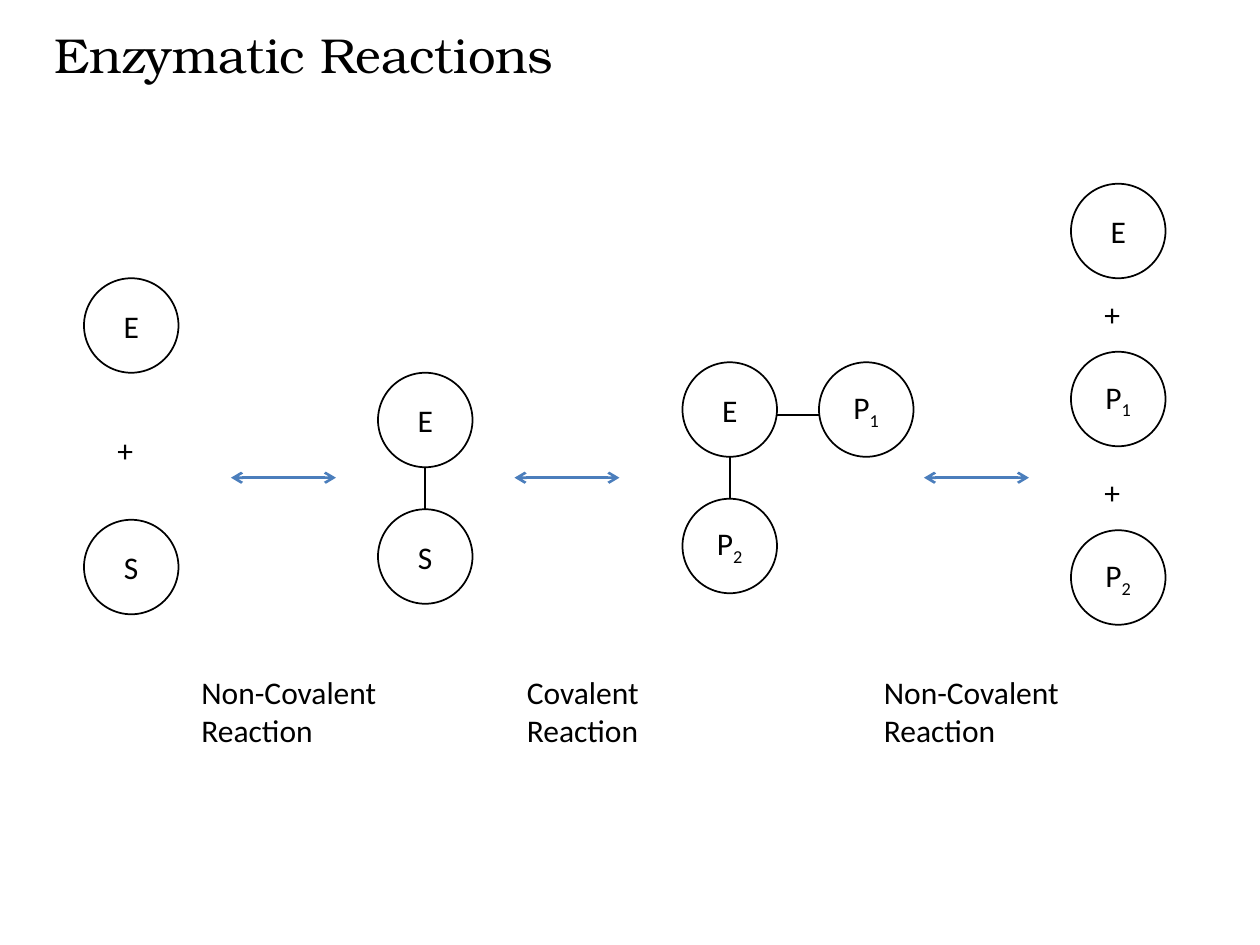
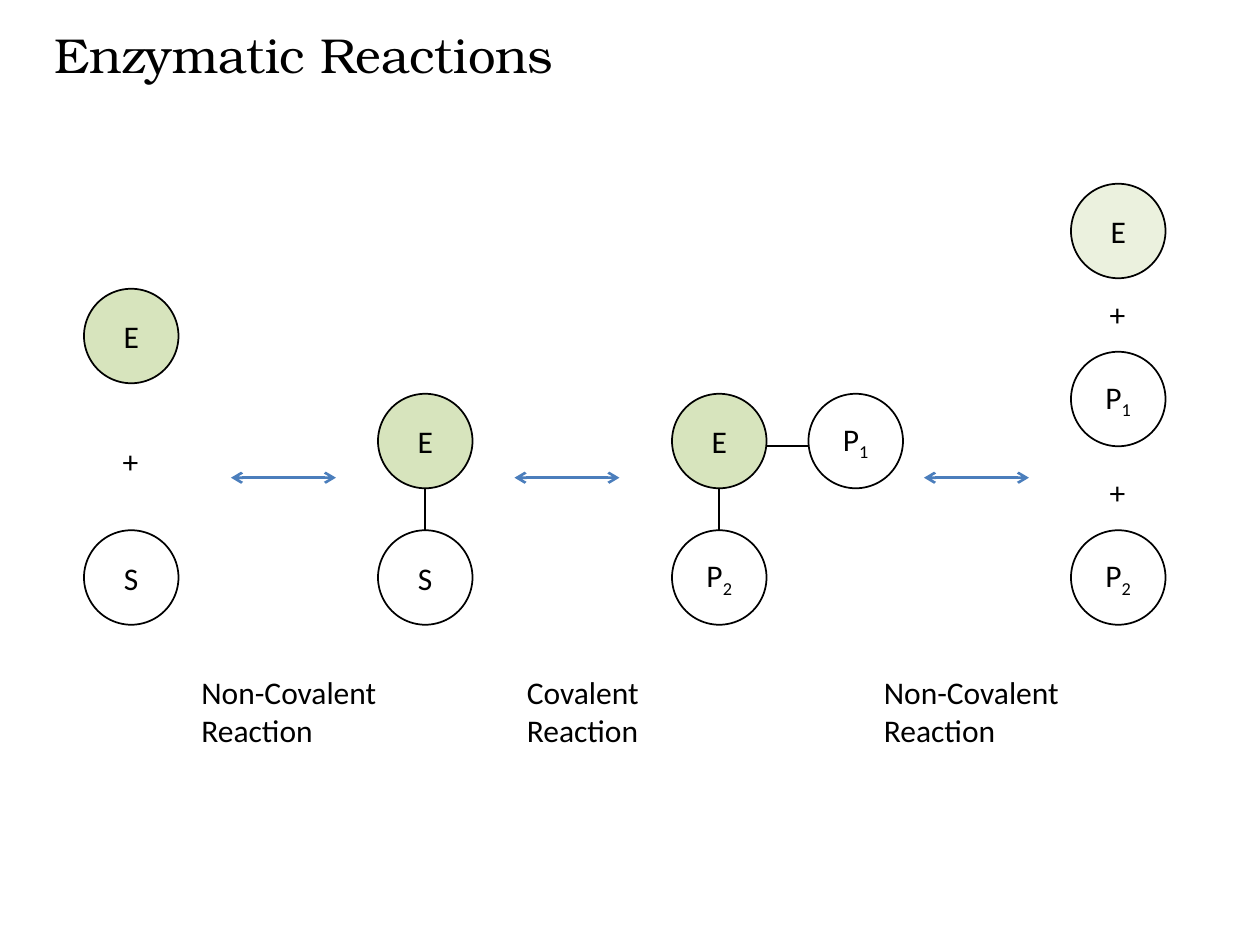
from lxml.etree import SubElement
from pptx import Presentation
from pptx.dml.color import RGBColor
from pptx.enum.shapes import MSO_CONNECTOR, MSO_SHAPE
from pptx.enum.text import MSO_ANCHOR, MSO_AUTO_SIZE, PP_ALIGN
from pptx.oxml.ns import qn
from pptx.util import Inches, Pt

COLOURS = {
    "ink": "000000",
    "white": "FFFFFF",
    "arrow": "4B7EBC",
    "enzyme": "D7E4BD",
    "released": "EBF1DE",
}
TITLE_FONT, BODY_FONT = "TeX Gyre Bonum", "Calibri"

# Grid of 120 columns by 90 rows; all positions below are in grid units
SLIDE_WIDTH, SLIDE_HEIGHT = Inches(10), Inches(7.5)
UNIT = SLIDE_WIDTH // 120
MOLECULE = 9        # diameter of a circle
PITCH = 13          # distance between two bonded circles
SIDE_BOND_DROP = 5  # sideways bond, below the top of its circles
ARROW_ROW, ARROW_LENGTH = 45.5, 10
LABEL_ROW = 63.5
START_COL, COMPLEX_COL, END_COL = 8, 36, 102

# Arrow column, label column, label width, label
STEPS = [
    (49, 49, 19, "Covalent Reaction"),
    (22, 18, 20, "Non-Covalent Reaction"),
    (88, 83, 20, "Non-Covalent Reaction"),
]


def grid(*units):
    return [round(unit * UNIT) for unit in units]


def colour(name):
    return RGBColor.from_string(COLOURS[name])


def write_text(frame, text, size=18, font=BODY_FONT, align=PP_ALIGN.LEFT,
               anchor=MSO_ANCHOR.TOP, wrap=True, grow=True):
    """Write one paragraph; what follows an underscore is a subscript."""
    frame.word_wrap = wrap
    frame.vertical_anchor = anchor
    frame.auto_size = MSO_AUTO_SIZE.SHAPE_TO_FIT_TEXT if grow else MSO_AUTO_SIZE.NONE
    paragraph = frame.paragraphs[0]
    paragraph.alignment = align
    for index, part in enumerate(text.split("_")):
        run = paragraph.add_run()
        run.text = part
        run.font.size = Pt(size)
        run.font.name = font
        run.font.color.rgb = colour("ink")
        if index:
            run.font._element.set("baseline", "-25000")


def add_title(slide, text):
    title = slide.shapes.title
    title.left, title.top, title.width, title.height = grid(4, 1.7, 113, 6.8)
    write_text(title.text_frame, text, size=28, font=TITLE_FONT)


def add_label(shapes, text, col, row, width, height, **text_format):
    label = shapes.add_textbox(*grid(col, row, width, height))
    write_text(label.text_frame, text, **text_format)


def add_molecule(shapes, name, col, row, fill="white"):
    molecule = shapes.add_shape(MSO_SHAPE.OVAL, *grid(col, row, MOLECULE, MOLECULE))
    molecule.shadow.inherit = False
    molecule.fill.solid()
    molecule.fill.fore_color.rgb = colour(fill)
    molecule.line.color.rgb = colour("ink")
    molecule.line.width = Pt(1)
    write_text(molecule.text_frame, name, align=PP_ALIGN.CENTER,
               anchor=MSO_ANCHOR.MIDDLE, grow=False)


def add_line(shapes, start, end, stroke="ink", width=1, arrowheads=False):
    line = shapes.add_connector(MSO_CONNECTOR.STRAIGHT, *grid(*start, *end))
    line.line.color.rgb = colour(stroke)
    line.line.width = Pt(width)
    properties = line._element.spPr
    if arrowheads:
        for tip in ("a:headEnd", "a:tailEnd"):
            SubElement(properties.find(qn("a:ln")), qn(tip), type="arrow")
    SubElement(properties, qn("a:effectLst"))


def add_bonded_pair(shapes, lower, col, row, fill):
    """Enzyme with a second molecule bonded below it."""
    centre = col + MOLECULE / 2
    add_molecule(shapes, "E", col, row, fill)
    add_molecule(shapes, lower, col, row + PITCH)
    add_line(shapes, (centre, row + MOLECULE), (centre, row + PITCH))


def add_side_product(shapes, name, col, row):
    """Product bonded to the right of the enzyme at col, row."""
    bond_row = row + SIDE_BOND_DROP
    add_molecule(shapes, name, col + PITCH, row)
    add_line(shapes, (col + PITCH, bond_row), (col + MOLECULE, bond_row))


def add_free_molecules(shapes, col, molecules, plus_rows, plus_indent):
    """Column of separate molecules with plus signs between them."""
    for name, row, fill in molecules:
        add_molecule(shapes, name, col, row, fill)
    for row in plus_rows:
        add_label(shapes, "+", col + plus_indent, row, 4, 4.8, wrap=False)


def add_steps(shapes):
    for arrow_col, label_col, label_width, label in STEPS:
        add_line(shapes, (arrow_col, ARROW_ROW), (arrow_col + ARROW_LENGTH, ARROW_ROW),
                 stroke="arrow", width=1.5, arrowheads=True)
        add_label(shapes, label, label_col, LABEL_ROW, label_width, 8.5)


def add_reaction_slide(deck, start_rows, complex_row, products_at, plus_indent,
                       enzyme="white", released="white", grouped=False):
    slide = deck.slides.add_slide(deck.slide_layouts[5])
    add_title(slide, "Enzymatic Reactions")

    def stage():
        return slide.shapes.add_group_shape().shapes if grouped else slide.shapes

    # Enzyme and substrate apart
    enzyme_row, plus_row, substrate_row = start_rows
    add_free_molecules(stage(), START_COL,
                       [("E", enzyme_row, enzyme), ("S", substrate_row, "white")],
                       [plus_row], plus_indent)

    # Enzyme with substrate bound
    add_bonded_pair(stage(), "S", COMPLEX_COL, complex_row, enzyme)

    # Enzyme with both products bound
    products = stage()
    add_bonded_pair(products, "P_2", *products_at, enzyme)
    add_side_product(products, "P_1", *products_at)

    # Enzyme and products apart
    add_free_molecules(stage(), END_COL,
                       [("E", 17.5, released), ("P_1", 33.5, "white"), ("P_2", 50.5, "white")],
                       [27.5, 44.5], plus_indent)

    # Arrows and names of the steps
    add_steps(slide.shapes)


def main():
    deck = Presentation()
    deck.slide_width, deck.slide_height = SLIDE_WIDTH, SLIDE_HEIGHT
    add_reaction_slide(deck, start_rows=(26.5, 40.5, 49.5), complex_row=35.5,
                       products_at=(65, 34.5), plus_indent=2)
    add_reaction_slide(deck, start_rows=(27.5, 41.5, 50.5), complex_row=37.5,
                       products_at=(64, 37.5), plus_indent=2.5,
                       enzyme="enzyme", released="released", grouped=True)
    deck.save("out.pptx")


if __name__ == "__main__":
    main()
